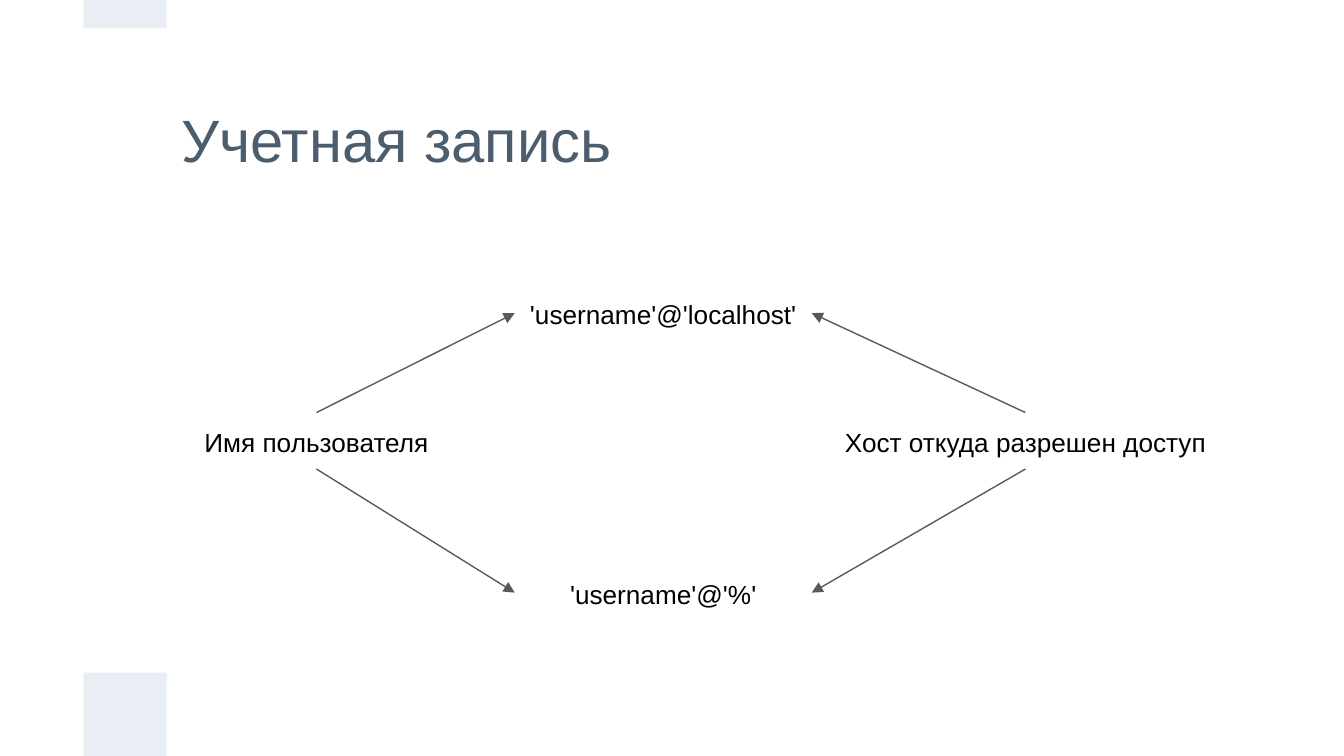
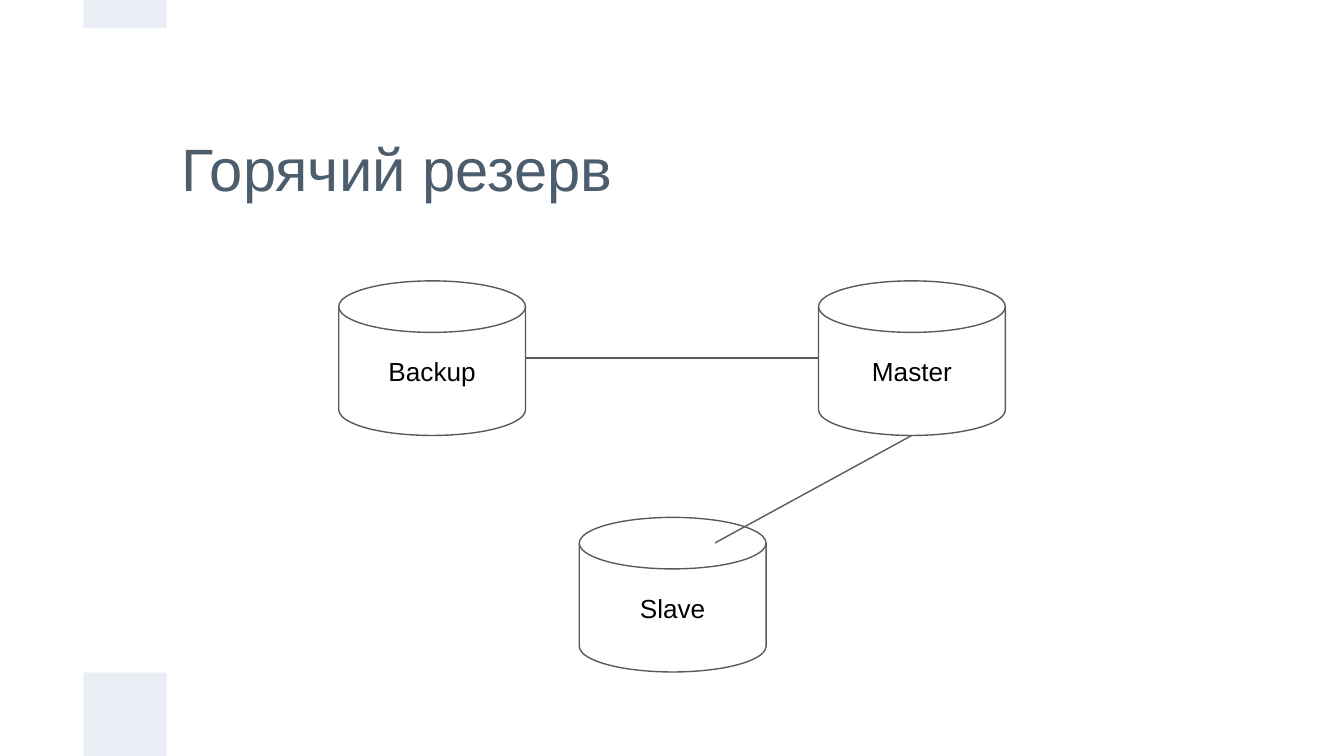
from dataclasses import dataclass

from lxml.etree import SubElement
from pptx import Presentation
from pptx.dml.color import RGBColor
from pptx.enum.shapes import MSO_CONNECTOR as Connector, MSO_SHAPE as Shape
from pptx.enum.text import MSO_ANCHOR as Anchor, PP_ALIGN as Align
from pptx.oxml.ns import qn
from pptx.util import Inches, Pt

# Shared look
FONT = "Arial"
TITLE_COLOR = "4C5D6E"
BAND_COLOR = "E9EDF4"
LINE_COLOR = "595959"
TEXT_COLOR = "000000"
BACKGROUND = "FFFFFF"
SLIDE_WIDTH, SLIDE_HEIGHT = 10, 5.625
BAND_SIZE = 0.62
TITLE_ONLY_LAYOUT = 5


@dataclass(frozen=True)
class Box:
    left: float
    top: float
    width: float
    height: float

    @property
    def right(self) -> float:
        return self.left + self.width

    @property
    def bottom(self) -> float:
        return self.top + self.height

    @property
    def center(self) -> float:
        return self.left + self.width / 2

    @property
    def middle(self) -> float:
        return self.top + self.height / 2

    def lengths(self) -> list:
        return [Inches(value) for value in (self.left, self.top, self.width, self.height)]


@dataclass(frozen=True)
class Node:
    text: str
    box: Box


def color(value: str) -> RGBColor:
    return RGBColor.from_string(value)


def write(shape, text: str, size=14, text_color=TEXT_COLOR, align=Align.CENTER,
          anchor=Anchor.MIDDLE) -> None:
    frame = shape.text_frame
    frame.word_wrap = True
    frame.vertical_anchor = anchor
    frame.margin_left = frame.margin_right = Inches(0.1)
    frame.margin_top = frame.margin_bottom = Inches(0.1)
    paragraph = frame.paragraphs[0]
    paragraph.alignment = align
    run = paragraph.add_run()
    run.text = text
    run.font.name = FONT
    run.font.size = Pt(size)
    run.font.color.rgb = color(text_color)


def add_band(slide, box: Box) -> None:
    band = slide.shapes.add_shape(Shape.RECTANGLE, *box.lengths())
    band.shadow.inherit = False
    band.fill.solid()
    band.fill.fore_color.rgb = color(BAND_COLOR)
    band.line.fill.background()


def add_slide(presentation, title: str, title_height: float):
    slide = presentation.slides.add_slide(presentation.slide_layouts[TITLE_ONLY_LAYOUT])
    slide.background.fill.solid()
    slide.background.fill.fore_color.rgb = color(BACKGROUND)
    shape = slide.shapes.title
    shape.left, shape.top, shape.width, shape.height = Box(1.25, 0.62, 7.5, title_height).lengths()
    write(shape, title, size=32, text_color=TITLE_COLOR, align=Align.LEFT)
    add_band(slide, Box(BAND_SIZE, SLIDE_HEIGHT - BAND_SIZE, BAND_SIZE, BAND_SIZE))
    add_band(slide, Box(BAND_SIZE, 0, BAND_SIZE, 0.21))
    return slide


def add_label(slide, node: Node) -> None:
    write(slide.shapes.add_textbox(*node.box.lengths()), node.text, anchor=Anchor.TOP)


def add_disk(slide, node: Node) -> None:
    disk = slide.shapes.add_shape(Shape.FLOWCHART_MAGNETIC_DISK, *node.box.lengths())
    disk.shadow.inherit = False
    disk.fill.background()
    disk.line.color.rgb = color(LINE_COLOR)
    disk.line.width = Pt(0.75)
    write(disk, node.text)


def add_line(slide, start: tuple[float, float], end: tuple[float, float], arrow=False) -> None:
    points = [Inches(value) for value in (*start, *end)]
    connector = slide.shapes.add_connector(Connector.STRAIGHT, *points)
    connector.line.color.rgb = color(LINE_COLOR)
    connector.line.width = Pt(0.75)
    properties = connector._element.spPr
    if arrow:
        SubElement(properties.find(qn("a:ln")), qn("a:tailEnd"), type="triangle")
    SubElement(properties, qn("a:effectLst"))


def build_account_slide(presentation) -> None:
    slide = add_slide(presentation, "Учетная запись", 0.83)
    local = Node("'username'@'localhost'", Box(3.83, 2.12, 2.21, 0.42))
    user = Node("Имя пользователя", Box(1.38, 3.07, 1.95, 0.42))
    host = Node("Хост откуда разрешен доступ", Box(6.17, 3.07, 2.92, 0.42))
    anywhere = Node("'username'@'%'", Box(3.83, 4.2, 2.21, 0.42))
    for node in (local, user, host, anywhere):
        add_label(slide, node)

    # Each part of the account points to both examples
    for part in (host.box, user.box):
        for example in (local.box, anywhere.box):
            start_y = part.top if example.top < part.top else part.bottom
            end_x = example.right if part.center > example.center else example.left
            add_line(slide, (part.center, start_y), (end_x, example.middle), arrow=True)


def build_standby_slide(presentation) -> None:
    slide = add_slide(presentation, "Горячий резерв", 1.25)
    width, height = 1.39, 1.15
    backup = Node("Backup", Box(2.52, 2.09, width, height))
    master = Node("Master", Box(6.09, 2.09, width, height))
    slave = Node("Slave", Box(4.31, 3.85, width, height))
    for node in (backup, master, slave):
        add_disk(slide, node)

    # Links between the servers
    add_line(slide, (backup.box.right, backup.box.middle), (master.box.left, master.box.middle))
    add_line(slide, (master.box.center, master.box.bottom), (5.32, 4.04))


presentation = Presentation()
presentation.slide_width = Inches(SLIDE_WIDTH)
presentation.slide_height = Inches(SLIDE_HEIGHT)
build_account_slide(presentation)
build_standby_slide(presentation)
presentation.save("out.pptx")
